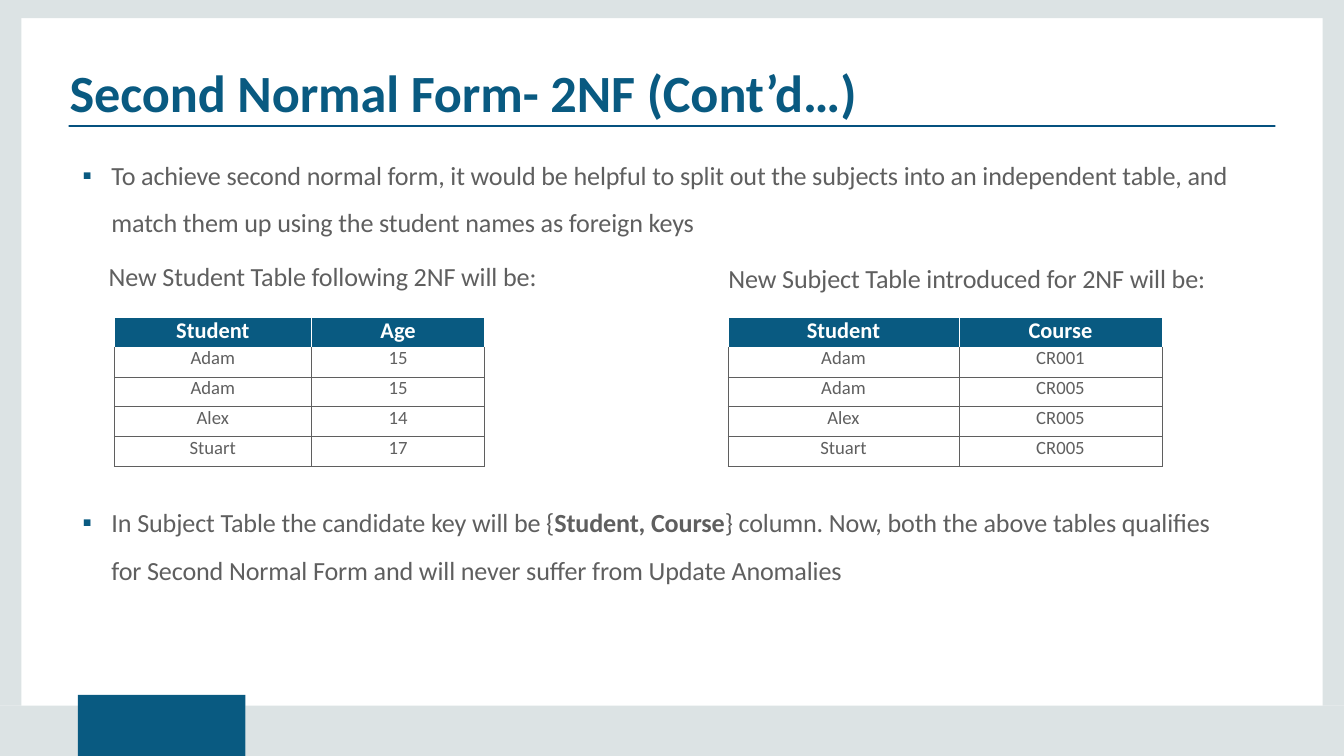
from lxml.etree import SubElement
from pptx import Presentation
from pptx.dml.color import RGBColor
from pptx.enum.shapes import MSO_SHAPE
from pptx.enum.text import PP_ALIGN
from pptx.oxml.ns import qn
from pptx.util import Pt

WIDTH, HEIGHT = 1440, 810
BLUE, RULE_BLUE, GREY, FRAME, WHITE = "095A81", "05517F", "5F5F5F", "DCE3E4", "FFFFFF"


def color(hex_code):
    return RGBColor.from_string(hex_code)


class SlideBuilder:
    font_name = "Calibri"
    body_size = 28
    tracking = -0.15

    def __init__(self, slide):
        self.slide = slide

    def rectangle(self, left, top, width, height, fill):
        shape = self.slide.shapes.add_shape(
            MSO_SHAPE.RECTANGLE, Pt(left), Pt(top), Pt(width), Pt(height))
        shape.shadow.inherit = False
        shape.fill.solid()
        shape.fill.fore_color.rgb = color(fill)
        shape.line.fill.background()

    def format_run(self, run, size, hex_code, bold=False, tracking=0):
        run.font.name = self.font_name
        run.font.size = Pt(size)
        run.font.bold = bold
        run.font.color.rgb = color(hex_code)
        if tracking:
            run.font._element.set("spc", str(round(tracking * 100)))

    def text(self, left, top, width, height, paragraphs, size=body_size,
             hex_code=GREY, bold=False):
        """Add a text box; each paragraph is a list of pieces, every second one bold."""
        box = self.slide.shapes.add_textbox(Pt(left), Pt(top), Pt(width), Pt(height))
        frame = box.text_frame
        frame.word_wrap = True
        frame.margin_left = frame.margin_top = frame.margin_right = frame.margin_bottom = 0
        for index, pieces in enumerate(paragraphs):
            paragraph = frame.add_paragraph() if index else frame.paragraphs[0]
            for position, piece in enumerate(pieces):
                run = paragraph.add_run()
                run.text = piece
                self.format_run(run, size, hex_code, bold or position % 2 == 1, self.tracking)
        return frame.paragraphs

    def indent(self, paragraph, bullet=None):
        properties = paragraph._p.get_or_add_pPr()
        properties.set("marL", str(Pt(31.5)))
        properties.set("indent", str(Pt(-31) if bullet else 0))
        if bullet:
            bullet_color = SubElement(properties, qn("a:buClr"))
            SubElement(bullet_color, qn("a:srgbClr"), val=BLUE)
            SubElement(properties, qn("a:buFont"), typeface=self.font_name)
            SubElement(properties, qn("a:buChar"), char=bullet)

    def cell_borders(self, cell, hex_code, top_hex_code):
        properties = cell._tc.get_or_add_tcPr()
        sides = {"lnL": hex_code, "lnR": hex_code, "lnT": top_hex_code, "lnB": hex_code}
        for index, (side, side_color) in enumerate(sides.items()):
            line = SubElement(properties, qn(f"a:{side}"), w=str(Pt(1)))
            fill = SubElement(line, qn("a:solidFill"))
            SubElement(fill, qn("a:srgbClr"), val=side_color)
            properties.insert(index, line)

    def table(self, left, top, column_widths, row_height, rows):
        frame = self.slide.shapes.add_table(
            len(rows), len(column_widths), Pt(left), Pt(top),
            Pt(sum(column_widths)), Pt(row_height * len(rows)))
        table = frame.table
        table.horz_banding = False
        for column, width in zip(table.columns, column_widths):
            column.width = Pt(width)
        for row_index, values in enumerate(rows):
            table.rows[row_index].height = Pt(row_height)
            header = row_index == 0
            for column_index, value in enumerate(values):
                cell = table.cell(row_index, column_index)
                cell.margin_left = cell.margin_top = cell.margin_right = cell.margin_bottom = 0
                cell.text_frame.text = value
                paragraph = cell.text_frame.paragraphs[0]
                paragraph.alignment = PP_ALIGN.CENTER
                self.format_run(paragraph.runs[0], 24 if header else 20,
                                WHITE if header else GREY, header)
                if header:
                    cell.fill.solid()
                    cell.fill.fore_color.rgb = color(BLUE)
                else:
                    cell.fill.background()
                self.cell_borders(cell, WHITE if header else GREY,
                                  WHITE if row_index < 2 else GREY)


def add_frame(builder):
    side, top, bottom = 23, 19.5, 756
    tab_left, tab_right, tab_top = 83.5, 263, 744.5
    for left in (WIDTH - side, 0):
        builder.rectangle(left, top, side, bottom - top, FRAME)
    for left, right in ((tab_right, WIDTH), (0, tab_left)):
        builder.rectangle(left, bottom, right - left, HEIGHT - bottom, FRAME)
    builder.rectangle(0, 0, WIDTH, top, FRAME)
    builder.rectangle(tab_left, tab_top, tab_right - tab_left, HEIGHT - tab_top, BLUE)


def main():
    presentation = Presentation()
    presentation.slide_width, presentation.slide_height = Pt(WIDTH), Pt(HEIGHT)
    builder = SlideBuilder(presentation.slides.add_slide(presentation.slide_layouts[6]))

    add_frame(builder)
    builder.rectangle(73.5, 134, 1293, 2, RULE_BLUE)
    builder.text(74.5, 65, 1292, 58, [["Second Normal Form- 2NF (Cont’d…)"]], 56, BLUE, True)

    introduction = builder.text(88, 154, 1230, 82, [[
        "To achieve second normal form, it would be helpful to split out the subjects into "
        "an independent table, and match them up using the student names as foreign keys"]])
    introduction[0].line_spacing = 1.5
    builder.indent(introduction[0], "▪")

    builder.text(116.5, 279.5, 470, 30, [["New Student Table following 2NF will be:"]])
    builder.text(780.5, 281.5, 524, 30, [["New Subject Table introduced for 2NF will be:"]])

    conclusion = builder.text(88, 543, 1210, 82, [
        ["In Subject Table the candidate key will be {", "Student, Course",
         "} column. Now, both the above tables qualifies"],
        ["for Second Normal Form and will never suffer from Update Anomalies"]])
    builder.indent(conclusion[0], "▪")
    builder.indent(conclusion[1])
    conclusion[1].space_before = Pt(16.8)

    builder.table(122.5, 340, (211, 186), 32, [
        ("Student", "Age"), ("Adam", "15"), ("Adam", "15"), ("Alex", "14"), ("Stuart", "17")])
    builder.table(780, 340, (247.5, 217.5), 32, [
        ("Student", "Course"), ("Adam", "CR001"), ("Adam", "CR005"),
        ("Alex", "CR005"), ("Stuart", "CR005")])

    presentation.save("out.pptx")


if __name__ == "__main__":
    main()
